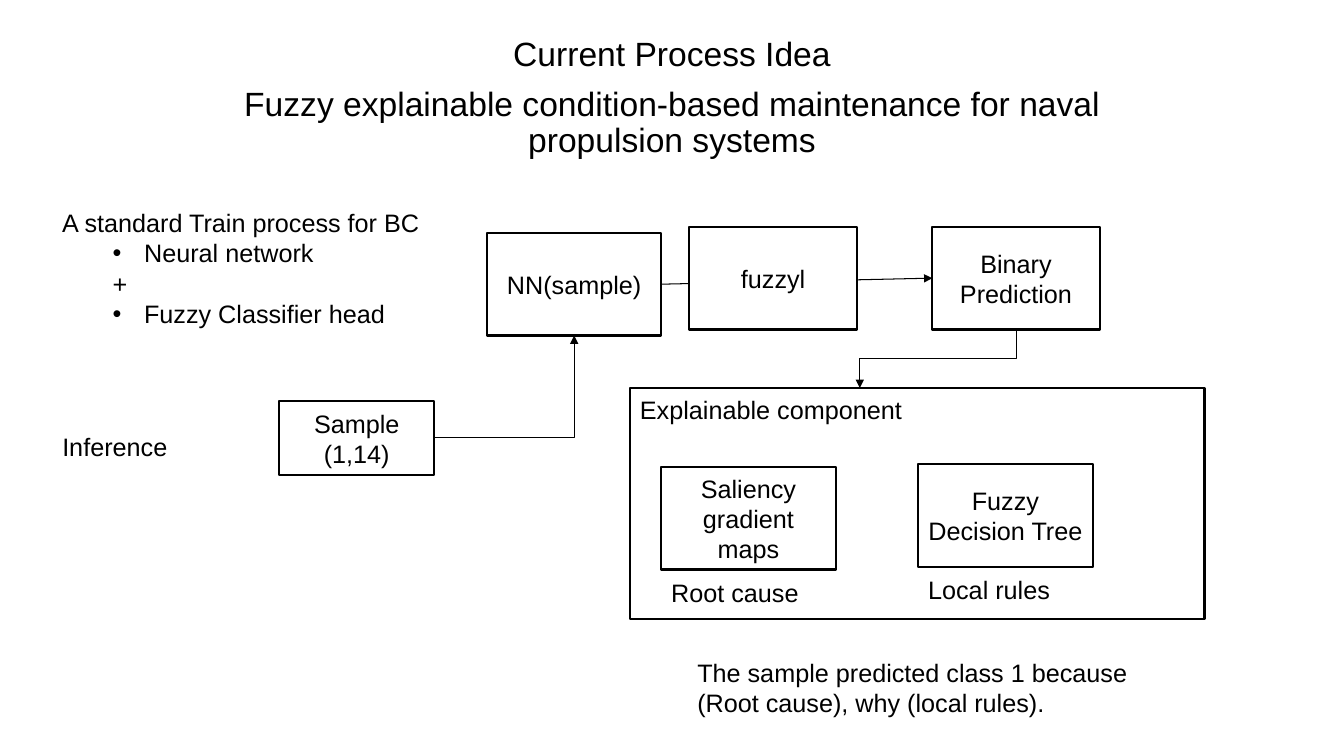
from lxml import etree
from pptx import Presentation
from pptx import util as u
from pptx.dml.color import RGBColor
from pptx.enum import shapes, text
from pptx.oxml.ns import qn

BLACK = RGBColor(0, 0, 0)
WHITE = RGBColor(255, 255, 255)
CENTER = text.PP_ALIGN.CENTER
INDENT, HANGING = 58.5, -22.5


class ProcessSlide:
    """Holds the style and the slide being drawn."""

    font = {"name": "Arial", "size": u.Pt(18)}
    frame_format = {"word_wrap": True, "margin_left": u.Pt(7.2), "margin_right": u.Pt(7.2),
                    "margin_top": u.Pt(3.6), "margin_bottom": u.Pt(3.6)}

    def __init__(self, deck):
        self.page = deck.slides.add_slide(deck.slide_layouts[6])

    def fill_text(self, frame, lines, size=None, **formats):
        for name, value in self.frame_format.items():
            setattr(frame, name, value)
        for number, line in enumerate(lines):
            para = frame.paragraphs[0] if number == 0 else frame.add_paragraph()
            for name, value in formats.items():
                setattr(para, name, value)
            span = para.add_run()
            span.text = line
            for name, value in self.font.items():
                setattr(span.font, name, value)
            if size:
                span.font.size = u.Pt(size)
            span.font.color.rgb = BLACK

    def label(self, place, *lines, **formats):
        box = self.page.shapes.add_textbox(*map(u.Pt, place))
        self.fill_text(box.text_frame, lines, **formats)
        return box

    def box(self, place, *lines):
        box = self.page.shapes.add_shape(shapes.MSO_SHAPE.RECTANGLE, *map(u.Pt, place))
        box.shadow.inherit = False
        box.fill.solid()
        box.fill.fore_color.rgb = WHITE
        box.line.color.rgb = BLACK
        box.line.width = u.Pt(1.5)
        box.text_frame.vertical_anchor = text.MSO_ANCHOR.MIDDLE
        self.fill_text(box.text_frame, lines, alignment=CENTER)
        return box

    def indent(self, para, left, first=0, bullet=None):
        props = para._p.get_or_add_pPr()
        props.set("marL", str(u.Pt(left)))
        props.set("indent", str(u.Pt(first)))
        if bullet:
            etree.SubElement(props, qn("a:buFont")).set("typeface", "Arial")
            etree.SubElement(props, qn("a:buChar")).set("char", bullet)

    def arrow(self, start, end, kind=shapes.MSO_CONNECTOR.STRAIGHT, preset=None, turn=0):
        line = self.page.shapes.add_connector(kind, *map(int, start + end))
        line.line.color.rgb = BLACK
        line.line.width = u.Pt(0.75)
        props = line._element.spPr
        etree.SubElement(props.find(qn("a:ln")), qn("a:tailEnd")).set("type", "triangle")
        etree.SubElement(props, qn("a:effectLst"))
        if preset:
            props.find(qn("a:prstGeom")).set("prst", preset)
        if turn:
            props.find(qn("a:xfrm")).set("rot", str(turn * 60000))

    def arrow_down(self, start, end):
        """Elbow that leaves and arrives vertically: a level elbow turned by 90 degrees."""
        middle_x, middle_y = (start[0] + end[0]) / 2, (start[1] + end[1]) / 2
        half_w, half_h = (end[1] - start[1]) / 2, (start[0] - end[0]) / 2
        self.arrow((middle_x - half_w, middle_y - half_h), (middle_x + half_w, middle_y + half_h),
                   shapes.MSO_CONNECTOR.ELBOW, turn=90)


def side(box, across, down):
    """Point on a box, given as fractions of its width and height."""
    return box.left + box.width * across, box.top + box.height * down


def main():
    deck = Presentation()
    deck.slide_width, deck.slide_height = u.Pt(960), u.Pt(540)
    slide = ProcessSlide(deck)

    # Title
    slide.label((120, 23, 720, 113), "Current Process Idea",
                "Fuzzy explainable condition-based maintenance for naval propulsion systems",
                size=24, alignment=CENTER, line_spacing=0.9, space_before=u.Pt(10))

    # Training and inference notes
    training = slide.label((37.4, 144.7, 280, 94.3), "A standard Train process for BC",
                           "Neural network", "+", "Fuzzy Classifier head")
    _, network, plus, head = training.text_frame.paragraphs
    for para in (network, head):
        para.level = 1
        slide.indent(para, INDENT, HANGING, "•")
    slide.indent(plus, 36)
    slide.label((37.4, 304.6, 250.6, 28.8), "Inference")

    # Prediction steps
    sample = slide.box((199.4, 286.6, 110.9, 52.6), "Sample", "(1,14)")
    neural = slide.box((347.8, 166.3, 124.6, 73.4), "NN(sample)")
    prediction = slide.box((666, 162, 119.5, 73.4), "Binary Prediction")

    # Explainable component
    component = slide.box((450, 277.2, 410.4, 164.9))
    slide.label((450, 277.9, 329.8, 28.8), "Explainable component")
    for left, top, method, result in ((472.3, 333.4, "Saliency gradient maps", "Root cause"),
                                      (655.9, 331.7, "Fuzzy Decision Tree", "Local rules")):
        slide.box((left, top, 124.6, 73.4), method)
        slide.label((left, top + 75.3, 124.6, 28.8), result)
    slide.label((491, 465.8, 329.8, 51.1),
                "The sample predicted class 1 because (Root cause), why (local rules).")

    # Arrows, with the fuzzy layer lying over the straight one
    slide.arrow(side(sample, 1, 0.5), side(neural, 0.5, 1),
                shapes.MSO_CONNECTOR.ELBOW, preset="bentConnector2")
    slide.arrow(side(neural, 1, 0.5), side(prediction, 0, 0.5))
    slide.arrow_down(side(prediction, 0.5, 1), side(component, 0.4, 0))
    slide.box((492.5, 162, 119.5, 73.4), "fuzzyl")

    deck.save("out.pptx")


if __name__ == "__main__":
    main()
